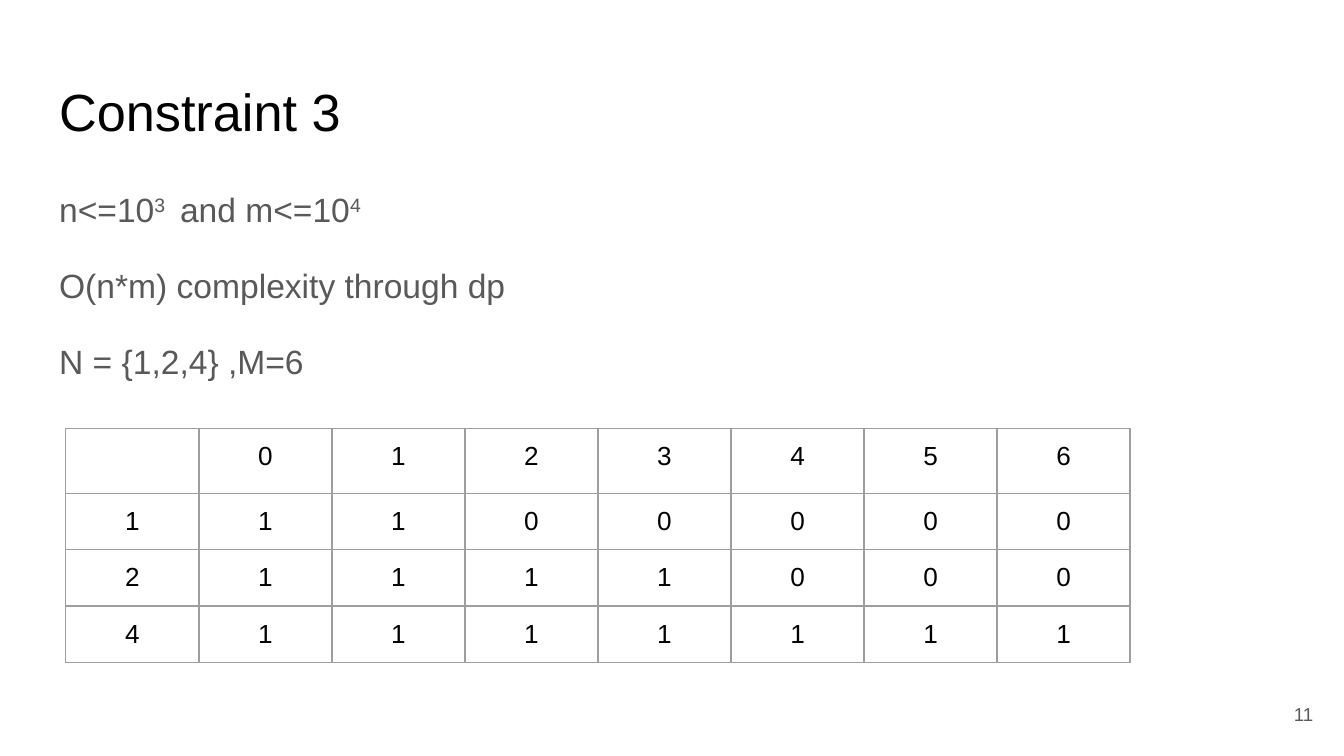
from dataclasses import dataclass

from lxml.etree import SubElement
from pptx import Presentation
from pptx.dml.color import RGBColor
from pptx.enum.text import MSO_ANCHOR, MSO_AUTO_SIZE, PP_ALIGN
from pptx.oxml.ns import qn
from pptx.util import Inches, Pt


@dataclass(frozen=True)
class Theme:
    font: str = "Arial"
    ink: str = "000000"
    muted: str = "595959"
    grid: str = "9E9E9E"
    background: str = "FFFFFF"
    title_size: int = 28
    body_size: int = 18
    cell_size: int = 14
    empty_cell_size: int = 18
    number_size: int = 10
    grid_width: float = 0.75
    inset: float = 0.1
    superscript: int = 30


THEME = Theme()

TITLE = "Constraint 3"
# Each line is a list of (text, is superscript).
STATEMENTS = [
    [("n<=10", False), ("3 ", True), (" and m<=10", False), ("4", True)],
    [("O(n*m) complexity through dp", False)],
    [("N = {1,2,4} ,M=6", False)],
]
DP_TABLE = [
    ["", 0, 1, 2, 3, 4, 5, 6],
    [1, 1, 1, 0, 0, 0, 0, 0],
    [2, 1, 1, 1, 1, 0, 0, 0],
    [4, 1, 1, 1, 1, 1, 1, 1],
]
SLIDE_NUMBER = "11"

SLIDE_WIDTH = 10
SLIDE_HEIGHT = SLIDE_WIDTH * 9 / 16
TITLE_BOX = (0.34, 0.49, 9.32, 0.63)
BODY_BOX = (0.34, 1.26, 9.32, 3.74)
NUMBER_BOX = (9.27, 5.1, 0.6, 0.43)
TABLE_CORNER = (0.49, 3.19)
COLUMN_WIDTH, ROW_HEIGHT = 0.99, 0.42


def add_run(paragraph, text, size, color, superscript=False):
    run = paragraph.add_run()
    run.text = text
    run.font.name = THEME.font
    run.font.size = Pt(size)
    run.font.color.rgb = RGBColor.from_string(color)
    if superscript:
        run.font._element.set("baseline", str(THEME.superscript * 1000))


def set_insets(holder):
    """Apply the common inset to a text frame or a table cell."""
    holder.margin_left = holder.margin_right = Inches(THEME.inset)
    holder.margin_top = holder.margin_bottom = Inches(THEME.inset)


def prepare_frame(shape, box, anchor):
    """Place a text shape and return its cleaned-up frame."""
    shape.left, shape.top, shape.width, shape.height = map(Inches, box)
    frame = shape.text_frame
    frame.word_wrap = True
    frame.auto_size = MSO_AUTO_SIZE.NONE
    frame.vertical_anchor = anchor
    set_insets(frame)
    return frame


def add_borders(cell):
    properties = cell._tc.get_or_add_tcPr()
    for side in ("lnL", "lnR", "lnT", "lnB"):
        line = SubElement(properties, qn(f"a:{side}"), w=str(Pt(THEME.grid_width)))
        fill = SubElement(line, qn("a:solidFill"))
        SubElement(fill, qn("a:srgbClr"), val=THEME.grid)


def format_empty(paragraph):
    """Give a paragraph without runs its font, which sets the row height."""
    end = SubElement(paragraph._p, qn("a:endParaRPr"),
                     sz=str(THEME.empty_cell_size * 100))
    SubElement(end, qn("a:latin"), typeface=THEME.font)


def add_title(slide):
    frame = prepare_frame(slide.shapes.title, TITLE_BOX, MSO_ANCHOR.TOP)
    paragraph = frame.paragraphs[0]
    paragraph.alignment = PP_ALIGN.LEFT
    add_run(paragraph, TITLE, THEME.title_size, THEME.ink)


def add_statements(slide):
    frame = prepare_frame(slide.placeholders[1], BODY_BOX, MSO_ANCHOR.TOP)
    for index, statement in enumerate(STATEMENTS):
        paragraph = frame.add_paragraph() if index else frame.paragraphs[0]
        paragraph.line_spacing = 1.15
        paragraph.space_before = Pt(16 if index else 0)
        properties = paragraph._p.get_or_add_pPr()
        properties.set("marL", "0")
        properties.set("indent", "0")
        SubElement(properties, qn("a:buNone"))
        for text, superscript in statement:
            add_run(paragraph, text, THEME.body_size, THEME.muted, superscript)


def add_dp_table(slide):
    rows, columns = len(DP_TABLE), len(DP_TABLE[0])
    table = slide.shapes.add_table(
        rows, columns, *map(Inches, TABLE_CORNER),
        Inches(columns * COLUMN_WIDTH), Inches(rows * ROW_HEIGHT),
    ).table
    table.first_row = table.horz_banding = False
    for column in table.columns:
        column.width = Inches(COLUMN_WIDTH)
    for row, values in zip(table.rows, DP_TABLE):
        row.height = Inches(ROW_HEIGHT)
        for cell, value in zip(row.cells, values):
            set_insets(cell)
            add_borders(cell)
            cell.fill.background()
            paragraph = cell.text_frame.paragraphs[0]
            if value == "":
                format_empty(paragraph)
            else:
                paragraph.alignment = PP_ALIGN.CENTER
                add_run(paragraph, str(value), THEME.cell_size, THEME.ink)


def add_slide_number(slide):
    number = slide.shapes.add_textbox(*map(Inches, NUMBER_BOX))
    paragraph = prepare_frame(number, NUMBER_BOX, MSO_ANCHOR.MIDDLE).paragraphs[0]
    paragraph.alignment = PP_ALIGN.RIGHT
    add_run(paragraph, SLIDE_NUMBER, THEME.number_size, THEME.muted)


def main():
    presentation = Presentation()
    presentation.slide_width = Inches(SLIDE_WIDTH)
    presentation.slide_height = Inches(SLIDE_HEIGHT)
    slide = presentation.slides.add_slide(presentation.slide_layouts[1])
    slide.background.fill.solid()
    slide.background.fill.fore_color.rgb = RGBColor.from_string(THEME.background)
    add_title(slide)
    add_statements(slide)
    add_slide_number(slide)
    add_dp_table(slide)
    presentation.save("out.pptx")


if __name__ == "__main__":
    main()
